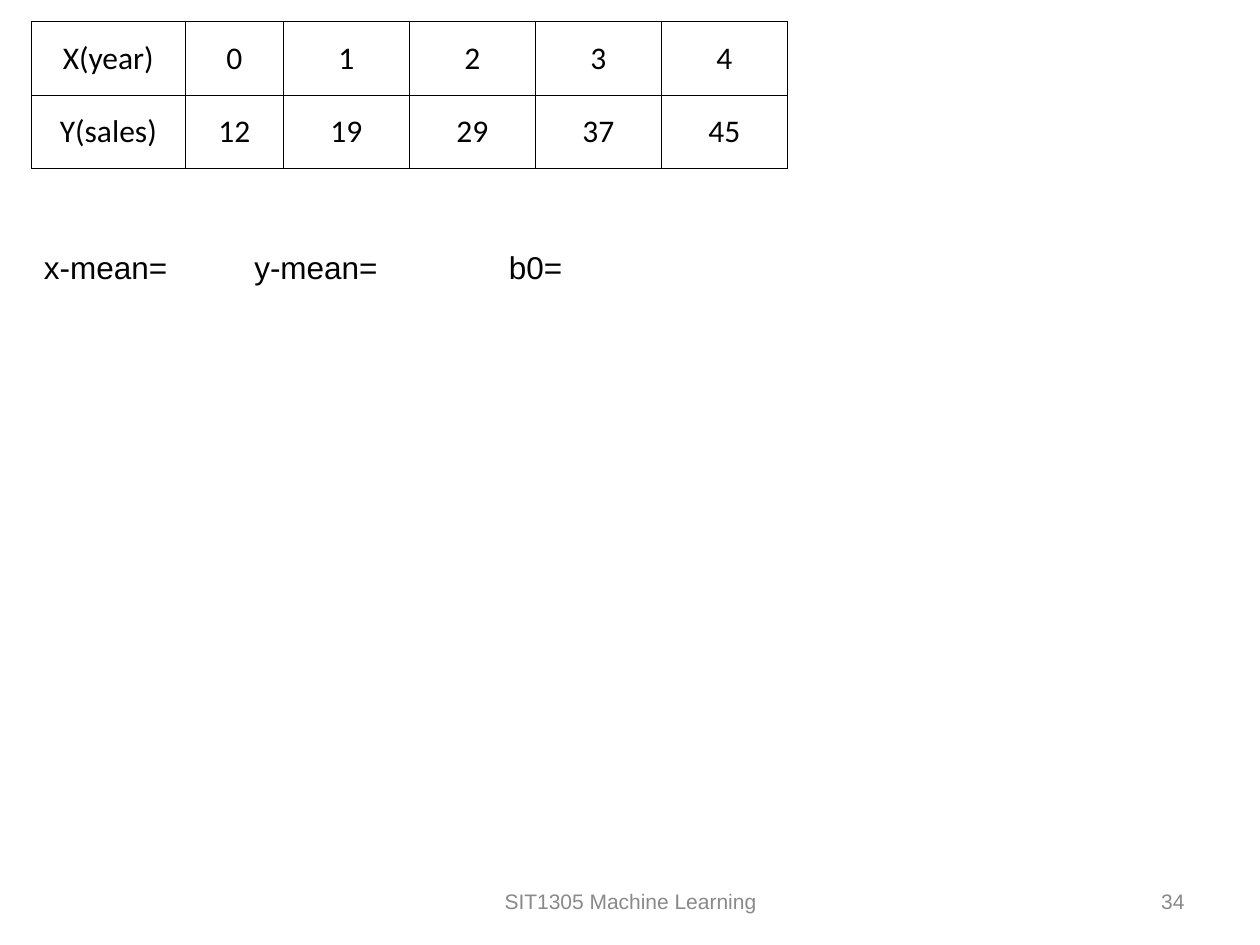
import pptx
import pptx.dml.color
import pptx.enum.text
import pptx.oxml
import pptx.oxml.ns
import pptx.util
import lxml.etree

Inches = pptx.util.Inches
Pt = pptx.util.Pt
qn = pptx.oxml.ns.qn
ALIGN = pptx.enum.text.PP_ALIGN
ANCHOR = pptx.enum.text.MSO_ANCHOR


def color(value):
    return pptx.dml.color.RGBColor.from_string(value)


def write(text_frame, text, size, font_name, font_color, alignment):
    text_frame.text = text
    paragraph = text_frame.paragraphs[0]
    paragraph.alignment = alignment
    font = paragraph.runs[0].font
    font.size = Pt(size)
    font.name = font_name
    font.color.rgb = color(font_color)


presentation = pptx.Presentation()
presentation.slide_width = Inches(10)
presentation.slide_height = Inches(7.5)
slide = presentation.slides.add_slide(presentation.slide_layouts[6])

footers = [
    ("SIT1305 Machine Learning", 3.42, 3.17, ALIGN.CENTER),
    ("34", 7.17, 2.33, ALIGN.RIGHT),
]
for text, left, width, alignment in footers:
    footer = slide.shapes.add_textbox(Inches(left), Inches(6.95), Inches(width), Inches(0.4))
    footer.text_frame.word_wrap = True
    footer.text_frame.vertical_anchor = ANCHOR.MIDDLE
    write(footer.text_frame, text, 12, "Arial", "898989", alignment)

sales_rows = [
    ["X(year)", "0", "1", "2", "3", "4"],
    ["Y(sales)", "12", "19", "29", "37", "45"],
]
column_widths = [1.22, 0.78, 1, 1, 1, 1]
table = slide.shapes.add_table(
    len(sales_rows), len(column_widths), Inches(0.25), Inches(0.17), Inches(6), Inches(1.17)
).table
table.first_row = False
table.horz_banding = False
for column, width in zip(table.columns, column_widths):
    column.width = Inches(width)

for row, values in zip(table.rows, sales_rows):
    for cell, value in zip(row.cells, values):
        write(cell.text_frame, value, 18, "Calibri", "000000", ALIGN.CENTER)
        cell.vertical_anchor = ANCHOR.MIDDLE
        properties = cell._tc.get_or_add_tcPr()
        for side in ("a:lnL", "a:lnR", "a:lnT", "a:lnB"):
            border = lxml.etree.SubElement(properties, qn(side), w=str(Pt(0.45)))
            fill = lxml.etree.SubElement(border, qn("a:solidFill"))
            lxml.etree.SubElement(fill, qn("a:srgbClr"), val="000000")
        cell.fill.background()

means = slide.shapes.add_textbox(Inches(0.25), Inches(1.92), Inches(7.5), Inches(0.4))
means.text_frame.word_wrap = True
means.text_frame.auto_size = pptx.enum.text.MSO_AUTO_SIZE.SHAPE_TO_FIT_TEXT
write(means.text_frame, "x-mean=\ty-mean=\tb0=", 18, "Arial", "000000", ALIGN.LEFT)
paragraph_properties = means.text_frame.paragraphs[0]._p.get_or_add_pPr()
tab_list = lxml.etree.SubElement(paragraph_properties, qn("a:tabLst"))
for position in (1.67, 3.69):
    lxml.etree.SubElement(tab_list, qn("a:tab"), pos=str(Inches(position)), algn="l")

presentation.save("out.pptx")
